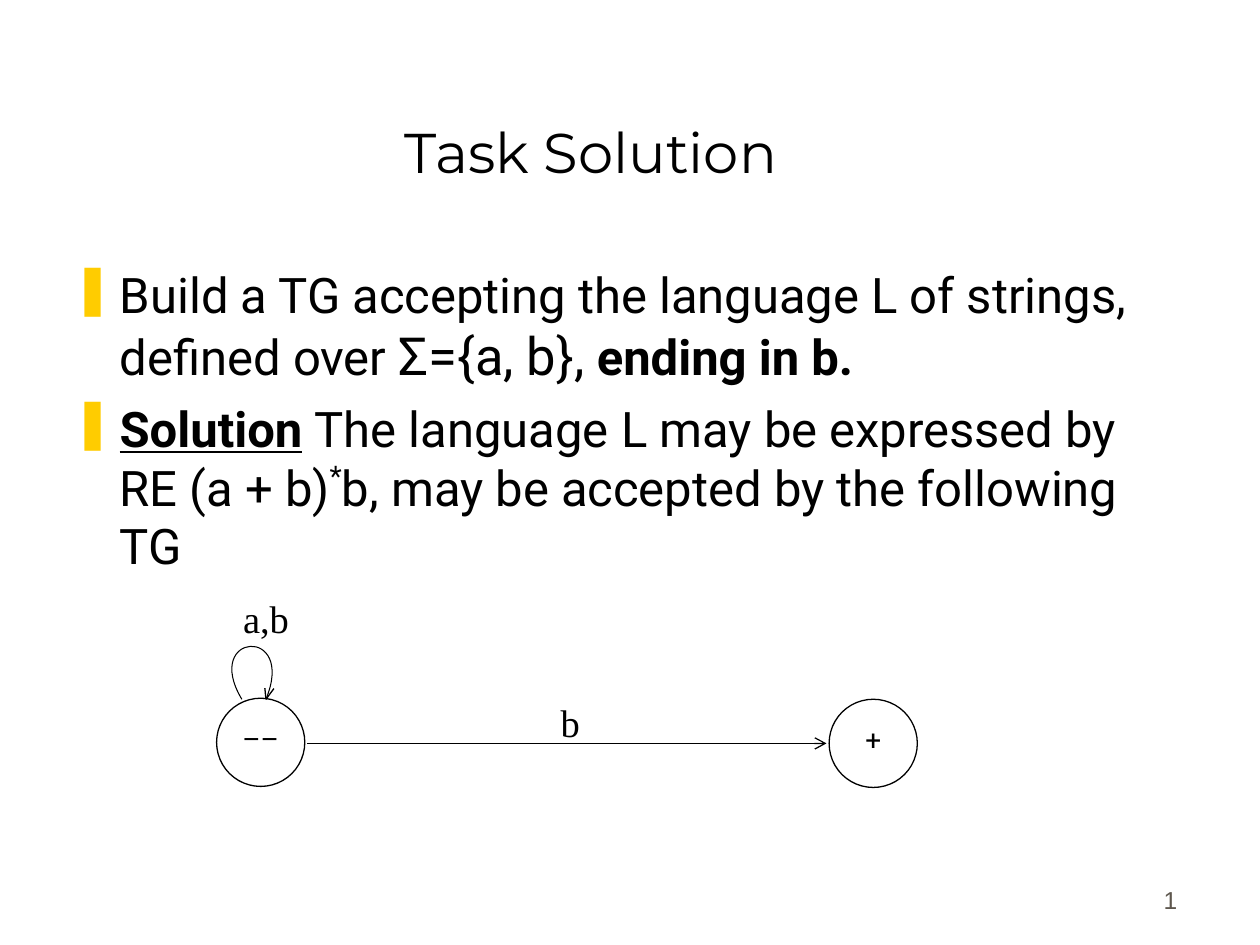
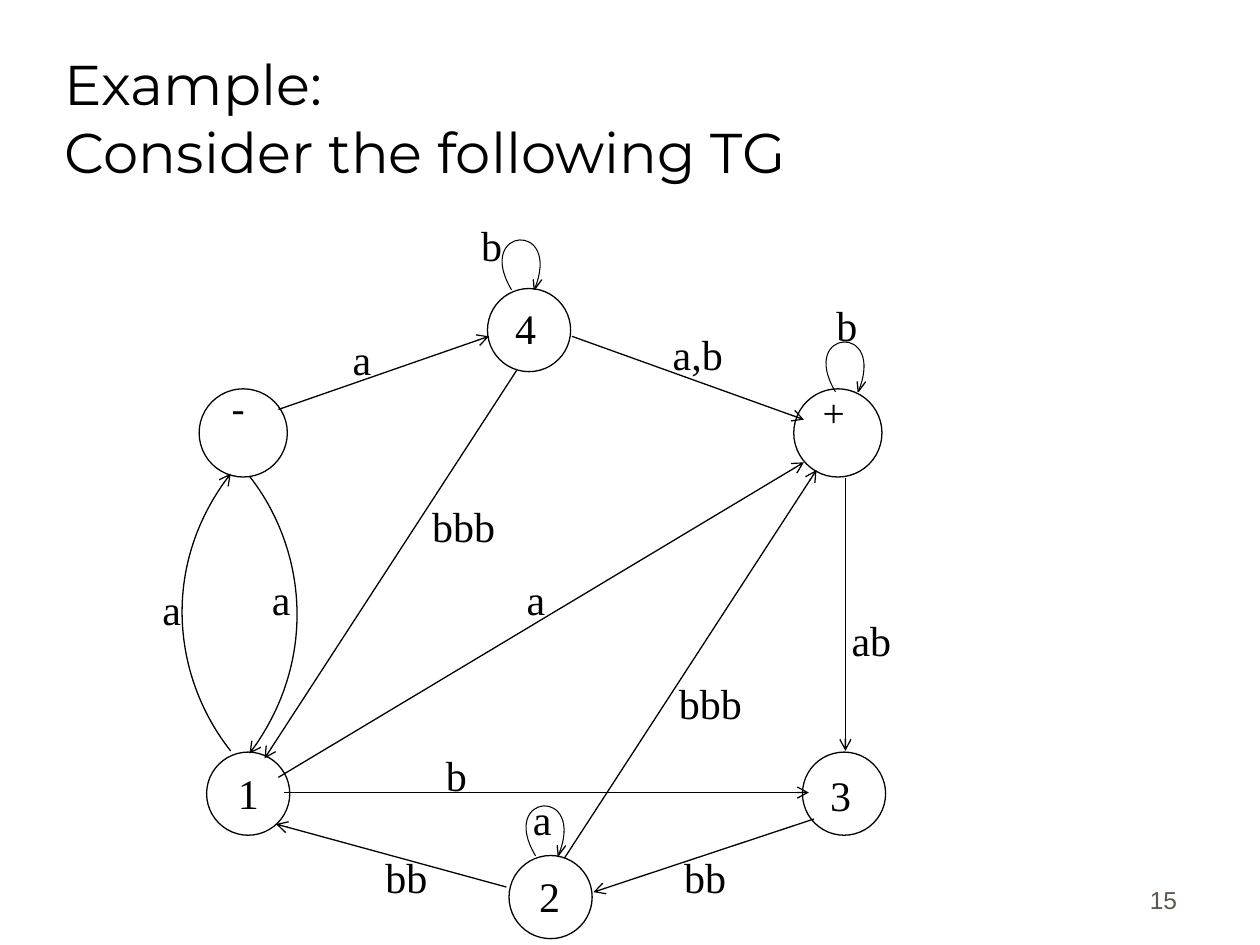
from lxml.etree import SubElement
from pptx import Presentation
from pptx.dml.color import RGBColor
from pptx.enum.shapes import MSO_CONNECTOR as Connector, MSO_SHAPE as Preset
from pptx.enum.text import MSO_ANCHOR as Anchor, PP_ALIGN as Align
from pptx.oxml.ns import qn
from pptx.util import Pt

BLACK = RGBColor(0x00, 0x00, 0x00)
WHITE = RGBColor(0xFF, 0xFF, 0xFF)
GREY = RGBColor(0x5E, 0x57, 0x4E)
GOLD = RGBColor(0xFF, 0xCC, 0x00)
TITLE_FONT, BODY_FONT, GRAPH_FONT, NUMBER_FONT = "Montserrat", "Roboto", "Times New Roman", "Arial"
STATE, END_STATE = 47.5, 50.4
LABEL_BOX = (78.5, 37.4)


def add_box(slide, left, top, width, height, anchor=Anchor.TOP, inset=(7.2, 3.6)):
    """Add a wrapping text box and return its text frame."""
    frame = slide.shapes.add_textbox(Pt(left), Pt(top), Pt(width), Pt(height)).text_frame
    frame.word_wrap = True
    frame.vertical_anchor = anchor
    frame.margin_left = frame.margin_right = Pt(inset[0])
    frame.margin_top = frame.margin_bottom = Pt(inset[1])
    return frame


def add_run(paragraph, text, font, size, color=BLACK, bold=False, underline=False, raised=False):
    """Append one formatted run to a paragraph."""
    run = paragraph.add_run()
    run.text = text
    run.font.name, run.font.size = font, Pt(size)
    run.font.color.rgb = color
    run.font.bold, run.font.underline = bold, underline
    if raised:
        run.font._element.set("baseline", "40000")


def add_title(slide, lines, align=Align.LEFT):
    """Add the slide title, one run for each line."""
    heading = add_box(slide, 31.7, 18, 612, 90, Anchor.BOTTOM, (5.4, 2.7)).paragraphs[0]
    heading.alignment = align
    for index, line in enumerate(lines):
        if index:
            heading.add_line_break()
        add_run(heading, line, TITLE_FONT, 32)


def add_page_number(slide, number):
    """Add the page number at the bottom right."""
    footer = add_box(slide, 529.9, 490.3, 149.8, 36, Anchor.BOTTOM).paragraphs[0]
    footer.alignment = Align.RIGHT
    add_run(footer, number, NUMBER_FONT, 14, GREY)


def add_bullet(paragraph):
    """Give a paragraph a hanging gold bar as its bullet."""
    properties = paragraph._p.get_or_add_pPr()
    properties.set("marL", str(Pt(27)))
    properties.set("indent", str(-Pt(27)))
    tint = SubElement(SubElement(properties, qn("a:buClr")), qn("a:srgbClr"))
    tint.set("val", str(GOLD))
    SubElement(properties, qn("a:buChar")).set("char", "❚")


def add_task(slide, items):
    """Add the bulleted task text, each item a list of runs."""
    frame = add_box(slide, 36, 148.3, 643.7, 328.3, inset=(5.4, 2.7))
    for index, runs in enumerate(items):
        item = frame.add_paragraph() if index else frame.paragraphs[0]
        if index:
            item.space_before = Pt(7)
        add_bullet(item)
        for text, size, style in runs:
            add_run(item, text, BODY_FONT, size, **style)


def add_label(slide, text, position, size=24, spacing=None):
    """Write a label of the graph."""
    label = add_box(slide, *position, *LABEL_BOX).paragraphs[0]
    if spacing:
        label.line_spacing = spacing
    add_run(label, text, GRAPH_FONT, size)


def add_state(slide, left, top, diameter):
    """Draw the circle of a state."""
    circle = slide.shapes.add_shape(Preset.OVAL, Pt(left), Pt(top), Pt(diameter), Pt(diameter))
    circle.shadow.inherit = False
    circle.fill.solid()
    circle.fill.fore_color.rgb = WHITE
    circle.line.color.rgb = BLACK
    circle.line.width = Pt(0.75)


def add_signed_state(slide, left, top, sign):
    """Draw a start or final state with its sign in the middle."""
    add_state(slide, left, top, END_STATE)
    mark = add_box(slide, left - 10.1, top - 1.4, 70.6, 49, Anchor.MIDDLE).paragraphs[0]
    mark.alignment = Align.CENTER
    add_run(mark, sign, BODY_FONT, 16)


def style_stroke(stroke, arrow, width=0.75):
    """Make a stroke thin and black, with or without an arrowhead."""
    stroke.line.color.rgb = BLACK
    stroke.line.width = Pt(width)
    if arrow:
        SubElement(stroke.line._get_or_add_ln(), qn("a:tailEnd")).set("type", "arrow")


def add_line(slide, start, end, arrow=True):
    """Draw a straight line between two points."""
    line = slide.shapes.add_connector(Connector.STRAIGHT, *map(Pt, start + end))
    style_stroke(line, arrow)
    SubElement(line._element.spPr, qn("a:effectLst"))


def add_curve(slide, start, bends, end, arrow=True, width=0.75):
    """Draw a cubic curve with two control points."""
    builder = slide.shapes.build_freeform(*map(Pt, start))
    builder.add_line_segments([tuple(map(Pt, point)) for point in (*bends, end)], close=False)
    curve = builder.convert_to_shape()
    curve.shadow.inherit = False
    curve.fill.background()
    outline = curve._element.find(".//" + qn("a:path"))
    cubic = SubElement(outline, qn("a:cubicBezTo"))
    for segment in outline.findall(qn("a:lnTo")):
        cubic.append(segment[0])
        outline.remove(segment)
    style_stroke(curve, arrow, width)


def add_loop(slide, x, y, scale=1.0):
    """Draw a self loop above a state, starting at x, y."""
    def spot(dx, dy):
        return x + dx * scale, y + dy * scale

    tip = spot(13, 0)
    add_curve(slide, (x, y), (spot(-21.6, -36), spot(29.5, -40)), tip, False, 0.6)
    for barb in (spot(12.4, -6), spot(17.3, -5.8)):
        add_line(slide, tip, barb, False)


def build_task_slide(slide):
    """Build the task with its two-state graph."""
    add_page_number(slide, "1")
    add_title(slide, ["Task Solution"], Align.CENTER)
    add_task(slide, [
        [("Build a TG accepting the language L of strings, defined over ", 28, {}),
         ("Σ={a, b},", 30, {}),
         (" ", 28, {}),
         ("ending in b.", 28, {"bold": True})],
        [("Solution", 28, {"bold": True, "underline": True}),
         (" ", 28, {"bold": True}),
         ("The language L may be expressed by RE (a + b)", 28, {}),
         ("*", 28, {"raised": True}),
         ("b, may be accepted by the following TG", 28, {})],
    ])
    add_line(slide, (175.7, 424.8), (472.3, 424.8))
    add_label(slide, "b", (313.2, 396), 22)
    add_signed_state(slide, 123.8, 399, "––")
    add_signed_state(slide, 473.8, 399.6, "+")
    add_loop(slide, 138.2, 399.6, 1.06)
    add_label(slide, "a,b", (131.8, 336.2), 22)


def build_example_slide(slide):
    """Build the example graph of six states."""
    add_page_number(slide, "15")
    add_title(slide, ["Example:", "Consider the following TG"])
    states = [
        ("1", (118.1, 429.8), (128.9, 434.9)),
        ("3", (458.6, 429.8), (467.3, 436.3)),
        ("2", (290.9, 488.9), (301, 493.9)),
        ("4", (278.6, 164.9), (287.3, 169.2)),
    ]
    end_states = [
        ("-", (113.8, 222.2), (125.3, 220.3)),
        ("+", (453.6, 222.2), (463, 223.2)),
    ]
    edges = [
        ("a", (159.1, 234), (279.4, 192.2), (194.4, 187.2)),
        ("a,b", (326.9, 192.2), (459.4, 239.8), (377.3, 184.3)),
        ("b", (162, 452.9), (462.2, 452.9), (247.7, 424.8)),
        ("bb", (465.1, 468), (339.1, 509.8), (383.8, 483.1)),
        ("bb", (289.4, 506.9), (157.7, 470.9), (213.1, 483.1)),
        ("a", (159.1, 444.2), (459.4, 264.2), (293.8, 324)),
        ("ab", (483.1, 272.9), (483.1, 429.1), (479.5, 347.8)),
        ("bbb", (295.2, 211.7), (151.2, 433.4), (239.8, 282.2)),
        ("bbb", (322.6, 490.3), (466.6, 268.6), (380.9, 383.8)),
    ]
    arcs = [
        ("a", (131.8, 429.1), ((99.4, 388.1), (91.4, 322.6)), (131.8, 270.7), (85.7, 329.8)),
        ("a", (142.6, 272.2), ((174.2, 312.5), (182.2, 378)), (142.6, 430.6), (148.3, 324)),
    ]
    loops = [
        ("b", (477.4, 223.9), (470.9, 167.8)),
        ("b", (292.3, 165.6), (267.8, 121.7)),
        ("a", (306, 489), (297.4, 450)),
    ]
    for name, corner, place in states:
        add_state(slide, *corner, STATE)
        add_label(slide, name, place)
    for sign, corner, place in end_states:
        add_state(slide, *corner, END_STATE)
        add_label(slide, sign, place, 22.5, 0.8)
    for letters, start, end, place in edges:
        add_line(slide, start, end)
        add_label(slide, letters, place)
    for letters, start, bends, end, place in arcs:
        add_curve(slide, start, bends, end)
        add_label(slide, letters, place)
    for letters, start, place in loops:
        add_loop(slide, *start)
        add_label(slide, letters, place)


def main():
    """Build both slides and save the presentation."""
    deck = Presentation()
    deck.slide_width, deck.slide_height = Pt(720), Pt(540)
    blank = deck.slide_layouts[6]
    for build in (build_task_slide, build_example_slide):
        build(deck.slides.add_slide(blank))
    deck.save("out.pptx")


if __name__ == "__main__":
    main()
